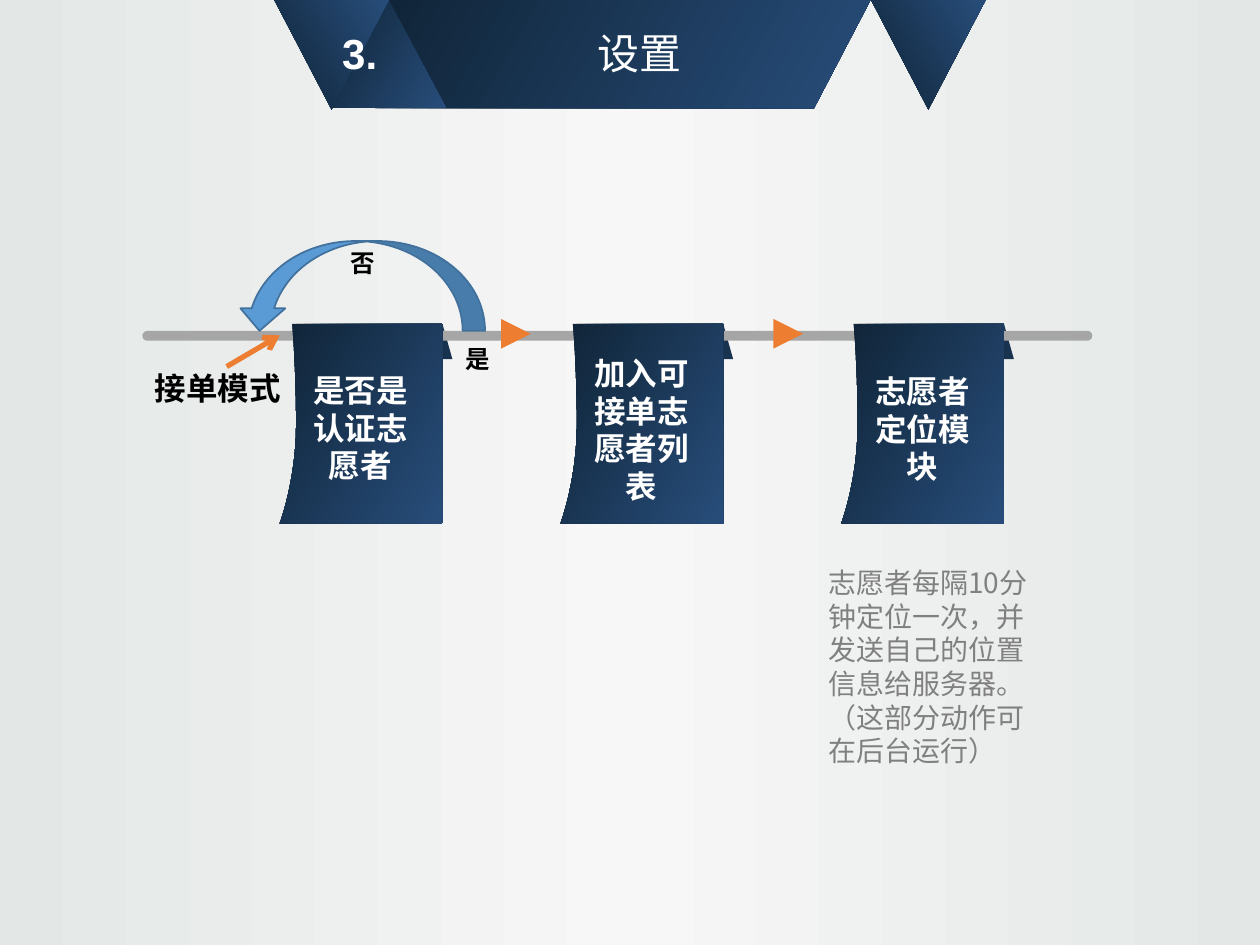
"""Build a slide with a three-step flow under a ribbon title."""
from copy import deepcopy

from lxml import etree
from pptx import Presentation
from pptx import util as u
from pptx.dml.color import RGBColor
from pptx.enum import shapes as sh, text as tx
from pptx.oxml.ns import qn

NAVY = ["0F2437", "284D7A"]
CJK = "Noto Sans CJK SC"
TOP, BASE, WIDE = 6.53, 10.55, 3.28
LEFTS = [5.64 + 5.66 * i for i in range(3)]


def rgb(code):
    """Turn a hex string into a colour."""
    return RGBColor.from_string(code)


def blend(fill, root, codes, angle):
    """Give a fill evenly spaced gradient stops."""
    fill.gradient()
    stops = root.find(".//" + qn("a:gsLst"))
    while len(stops) < len(codes):
        stops.append(deepcopy(stops[-1]))
    for i, (stop, code) in enumerate(zip(fill.gradient_stops, codes)):
        stop.position = i / (len(codes) - 1)
        stop.color.rgb = rgb(code)
    fill.gradient_angle = angle


def paint(shape, color, line=None):
    """Set the fill and line of a shape and drop its shadow."""
    shape.shadow.inherit = False
    if isinstance(color, list):
        blend(shape.fill, shape._element, color, 330)
    else:
        shape.fill.solid()
        shape.fill.fore_color.rgb = rgb(color)
    if line:
        shape.line.color.rgb = rgb(line)
        shape.line.width = u.Pt(1)
    else:
        shape.line.fill.background()


def preset(slide, kind, box, color, line=None, flip=None, turn=0):
    """Add a preset shape, with an optional flip or turn."""
    shape = slide.shapes.add_shape(kind, *map(u.Cm, box))
    paint(shape, color, line)
    shape.rotation = turn
    if flip:
        shape._element.spPr.xfrm.set(flip, "1")
    return shape


def outline(slide, points, color):
    """Add a closed outline through points."""
    spots = [(u.Cm(x), u.Cm(y)) for x, y in points]
    form = slide.shapes.build_freeform(*spots[0])
    form.add_line_segments(spots[1:], close=True)
    paint(form.convert_to_shape(), color)


def curve(a, b, c, d, steps=12):
    """List points along a cubic curve."""
    ts = [i / steps for i in range(steps + 1)]
    return [tuple((1 - t) ** 3 * p + 3 * (1 - t) ** 2 * t * q
                  + 3 * (1 - t) * t * t * r + t ** 3 * s
                  for p, q, r, s in zip(a, b, c, d)) for t in ts]


def flag(slide, left):
    """Add a banner that hangs from the bar with a curved left side."""
    right, mid = left + WIDE, (left + 0.33, 8.56)
    low, high = (left, BASE), (left + 0.25, TOP)
    side = curve(low, low, (left + 0.33, 9.68), mid)
    side += curve(mid, (left + 0.33, 7.42), high, high)[1:]
    outline(slide, [(right, BASE)] + side + [(right, TOP)], NAVY)


def style(run, size, color, bold, font):
    """Format one run."""
    run.font.size, run.font.bold, run.font.name = u.Pt(size), bold, font
    run.font.color.rgb = rgb(color)
    etree.SubElement(run._r.get_or_add_rPr(), qn("a:ea"), typeface=CJK)


def write(slide, words, box, size=18, color="000000", bold=True,
          font="Arial", align=tx.PP_ALIGN.LEFT):
    """Add a text box with one paragraph per line."""
    frame = slide.shapes.add_textbox(*map(u.Cm, box)).text_frame
    frame.word_wrap = True
    for i, line in enumerate(words.split("\n")):
        para = frame.add_paragraph() if i else frame.paragraphs[0]
        para.alignment = align
        para._p.get_or_add_pPr().set("hangingPunct", "0")
        run = para.add_run()
        run.text = line
        style(run, size, color, bold, font)
    return frame


def title(slide):
    """Add the number and the name on the ribbon, set apart by a tab stop."""
    frame = write(slide, "3.", (6.29, 0.27, 8.1, 1.73), 24, "FFFFFF")
    frame.margin_left = u.Cm(0.61)
    frame.vertical_anchor = tx.MSO_ANCHOR.MIDDLE
    para = frame.paragraphs[0]
    para.line_spacing = 0.9
    tabs = etree.SubElement(para._p.get_or_add_pPr(), qn("a:tabLst"))
    etree.SubElement(tabs, qn("a:tab"), pos=str(u.Cm(5.15)), algn="l")
    run = para.add_run()
    run.text = "\t设置"
    style(run, 24, "FFFFFF", False, "Arial")


def ribbon(slide):
    """Add the folded ribbon at the top."""
    tri = sh.MSO_SHAPE.ISOSCELES_TRIANGLE
    outline(slide, [(7.57, 0), (17.55, 0), (16.41, 2.18), (7.57, 2.18)], NAVY)
    preset(slide, tri, (6.68, 0, 2.31, 2.17), NAVY)
    for left in (5.53, 17.56):
        preset(slide, tri, (left, 0, 2.31, 2.21), NAVY, flip="flipV")


def arrow(slide, start, end, color):
    """Add a straight line with an open arrowhead."""
    line = slide.shapes.add_connector(
        sh.MSO_CONNECTOR.STRAIGHT, *map(u.Cm, start + end))
    line.line.color.rgb = rgb(color)
    line.line.width = u.Pt(3)
    etree.SubElement(line.line._get_or_add_ln(), qn("a:tailEnd"), type="arrow")
    etree.SubElement(line._element.spPr, qn("a:effectLst"))


def flow(slide):
    """Add the bar, the flags and the arrows."""
    for left in LEFTS:
        x = left + WIDE
        outline(slide, [(x, TOP), (x + 0.2, 7.24), (x, 7.24)], "18334F")
    bar = preset(slide, sh.MSO_SHAPE.ROUNDED_RECTANGLE,
                 (2.87, 6.67, 19.15, 0.2), "A6A6A6")
    bar.adjustments[0] = 0.5
    for left in LEFTS:
        flag(slide, left)
    for left in (10.1, 15.59):
        preset(slide, sh.MSO_SHAPE.ISOSCELES_TRIANGLE,
               (left, 6.43, 0.6, 0.6), "ED7D31", turn=90)
    preset(slide, sh.MSO_SHAPE.CURVED_DOWN_ARROW, (4.78, 4.86, 5, 1.81),
           "5B9BD5", line="41719C", flip="flipH")
    arrow(slide, (4.57, 7.39), (5.64, 6.76), "ED7D31")


def labels(slide):
    """Add the wording of the steps and branches."""
    step = dict(color="FFFFFF", align=tx.PP_ALIGN.CENTER)
    write(slide, "是否是认证志愿者", (5.87, 7.35, 2.79, 2.54), **step)
    write(slide, "加入可\n接单志\n愿者列\n表", (11.53, 7.01, 2.8, 3.2),
          font=CJK, **step)
    write(slide, "志愿者定位模块", (17.31, 7.37, 2.57, 2.54), **step)
    write(slide, "接单模式", (2.87, 7.32, 3.48, 1.02))
    write(slide, "否", (6.82, 4.87, 1.83, 0.86), 14)
    write(slide, "是", (9.13, 6.82, 1.83, 0.86), 14)
    write(slide, "志愿者每隔10分钟定位一次，并发送自己的位置信息给服务器。"
          "（这部分动作可在后台运行）", (16.46, 11.28, 4.72, 4.32),
          16, "808080", bold=False, font=CJK)


def main():
    """Build and save the slide."""
    deck = Presentation()
    deck.slide_width, deck.slide_height = u.Cm(25.4), u.Cm(19.05)
    slide = deck.slides.add_slide(deck.slide_layouts[6])
    blend(slide.background.fill, slide._element,
          ["E3E7E5", "F7F7F7", "E3E7E5"], 180)
    ribbon(slide)
    title(slide)
    flow(slide)
    labels(slide)
    deck.save("out.pptx")


if __name__ == "__main__":
    main()
